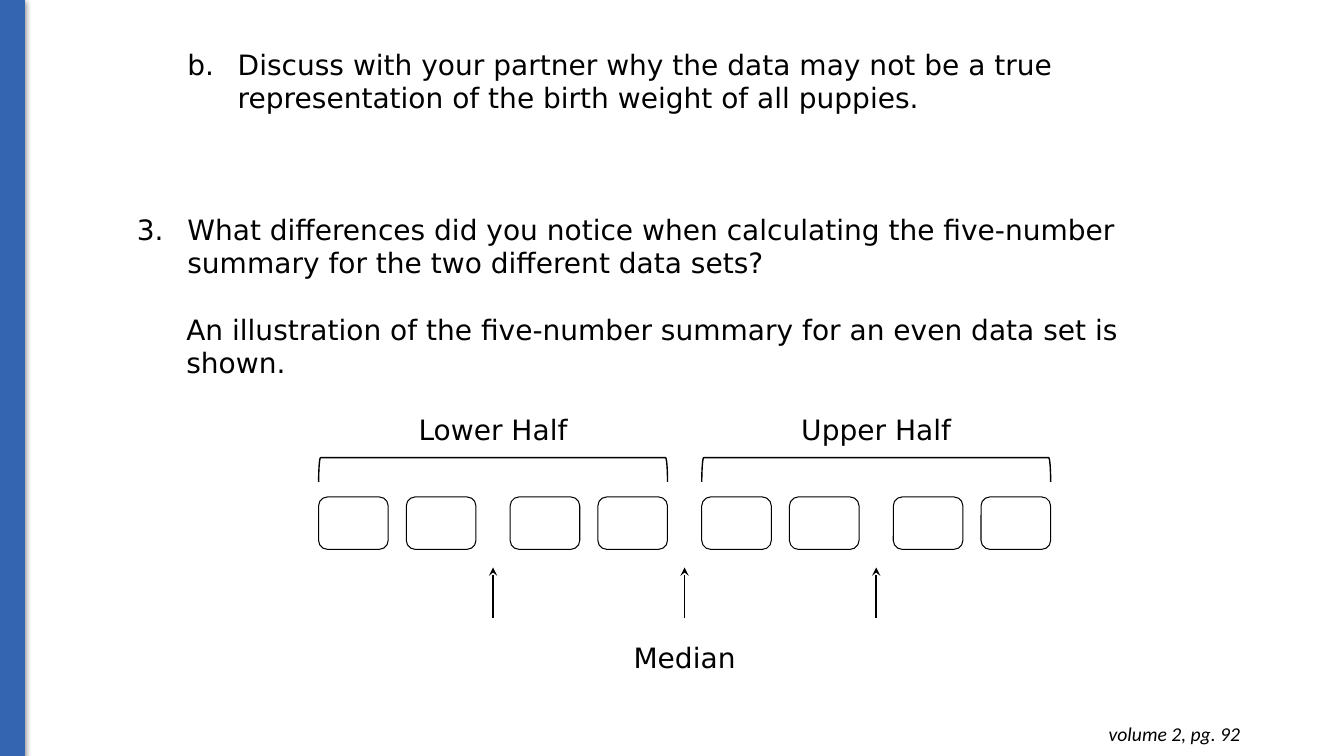
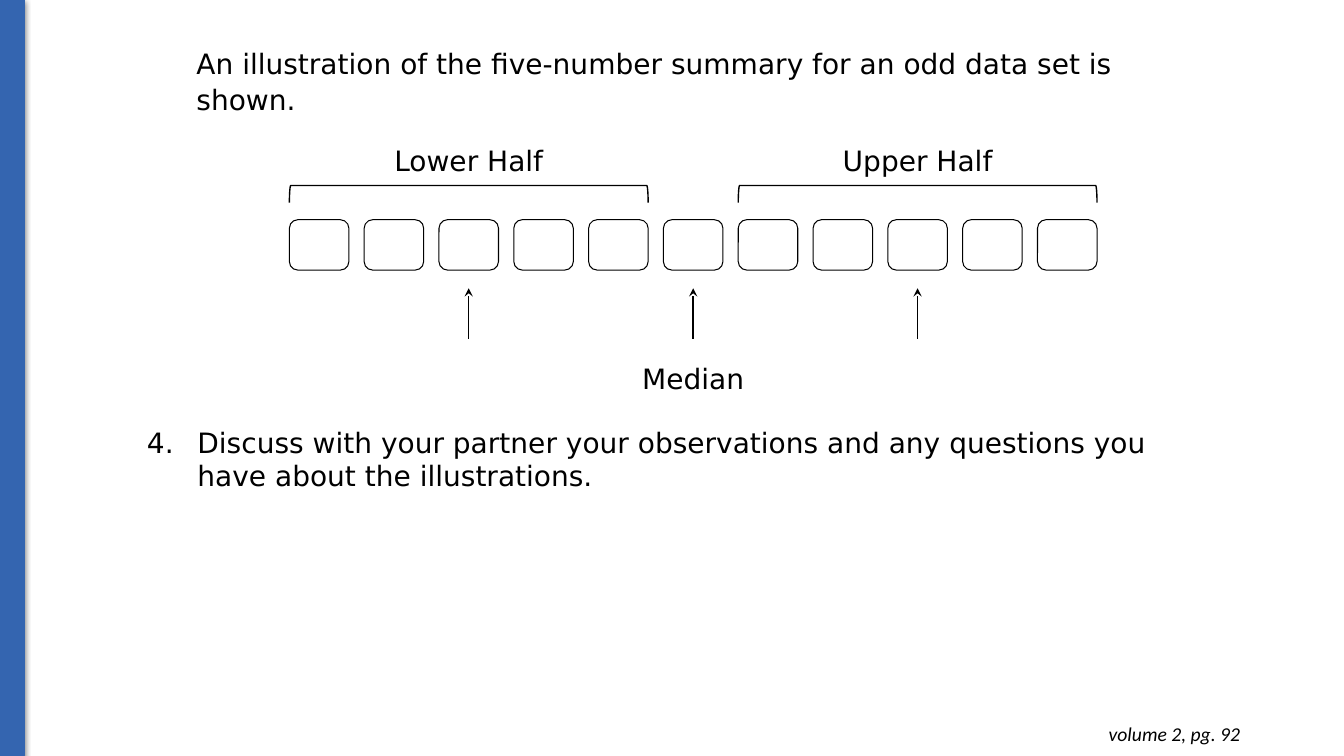
from lxml.etree import SubElement
from pptx import Presentation
from pptx.dml.color import RGBColor
from pptx.enum.shapes import MSO_CONNECTOR, MSO_SHAPE
from pptx.enum.text import PP_ALIGN
from pptx.oxml.ns import qn
from pptx.util import Inches, Pt

HUES = {"ink": "000000", "bar": "3465B0"}


def hue(name):
    return RGBColor.from_string(HUES[name])


def node(root, tag, **attrs):
    return SubElement(root, qn(tag), attrs)


class Deck:
    face = "DejaVu Sans"
    size = 20

    def __init__(self):
        self.show = Presentation()
        self.show.slide_width = Inches(13.33)
        self.show.slide_height = Inches(7.5)

    def page(self):
        self.slide = self.show.slides.add_slide(self.show.slide_layouts[6])
        self.band()
        frame = self.box(9.52, 7.06, 2.88, 0.44, pad=0.1)
        para = self.para(frame, "volume 2, pg. 92", align=PP_ALIGN.RIGHT,
                         face="Calibri", size=14)
        para.font.italic = True

    def band(self):
        bar = self.shape(MSO_SHAPE.RECTANGLE, 0, 0, 0.24, 7.5, "bar")
        bar.fill.solid()
        bar.fill.fore_color.rgb = hue("bar")
        glow = node(bar.element.spPr.find(qn("a:effectLst")), "a:outerShdw",
                    blurRad=str(Pt(4.5)), dist=str(Pt(1.5)),
                    dir="5400000", algn="ctr", rotWithShape="0")
        tint = node(glow, "a:srgbClr", val=HUES["ink"])
        node(tint, "a:alpha", val="50000")

    def shape(self, kind, left, top, width, height, tone="ink", line=0.75):
        item = self.slide.shapes.add_shape(
            kind, Inches(left), Inches(top), Inches(width), Inches(height))
        item.shadow.inherit = False
        item.fill.background()
        item.line.color.rgb = hue(tone)
        item.line.width = Pt(line)
        return item

    def box(self, left, top, width, height, pad=0.05):
        frame = self.slide.shapes.add_textbox(
            Inches(left), Inches(top), Inches(width), Inches(height)).text_frame
        frame.word_wrap = True
        frame.margin_top = frame.margin_bottom = Inches(pad)
        return frame

    def para(self, frame, text, indent=0, list_as=None, before=0,
             lead=None, align=None, face=face, size=size):
        first = not frame.paragraphs[0].runs
        para = frame.paragraphs[0] if first else frame.add_paragraph()
        para.add_run().text = text
        props = para._p.get_or_add_pPr()
        if indent:
            props.set("marL", str(Inches(indent)))
            props.set("indent", str(Inches(-0.5 if list_as else 0)))
        if list_as:
            kind, start = list_as
            tint = node(props, "a:buClr")
            node(tint, "a:srgbClr", val=HUES["ink"])
            node(props, "a:buFont", typeface=face)
            node(props, "a:buAutoNum", type=kind, startAt=str(start))
        if before:
            para.space_before = Pt(before)
        if lead:
            para.line_spacing = lead
        if align:
            para.alignment = align
        para.font.name = face
        para.font.size = Pt(size)
        para.font.color.rgb = hue("ink")
        return para

    def label(self, text, mid, top, width):
        frame = self.box(mid - width / 2, top, width, 0.4)
        self.para(frame, text, lead=1.07, align=PP_ALIGN.CENTER)

    def cell(self, left, top, width, height):
        item = self.shape(MSO_SHAPE.ROUNDED_RECTANGLE, left, top, width, height)
        item.adjustments[0] = 0.17

    def brace(self, mid, top, width, height):
        item = self.shape(MSO_SHAPE.LEFT_BRACKET, mid - height / 2,
                          top + (height - width) / 2, height, width, line=1)
        item.rotation = 90
        item.adjustments[0] = 0.08

    def arrow(self, mid, tip, length=0.5):
        line = self.slide.shapes.add_connector(
            MSO_CONNECTOR.STRAIGHT, Inches(mid), Inches(tip + length),
            Inches(mid), Inches(tip))
        line.line.color.rgb = hue("ink")
        line.line.width = Pt(1)
        node(line.line._get_or_add_ln(), "a:tailEnd", type="stealth")
        node(line.element.spPr, "a:effectLst")

    def chart(self, lefts, half, top, width, height, brace, depth, title):
        for left in lefts:
            self.cell(left, top, width, height)
        base = top + height
        mids = []
        for text, group in (("Lower Half", lefts[:half]),
                            ("Upper Half", lefts[-half:])):
            mid = (group[0] + group[-1] + width) / 2
            self.brace(mid, brace, group[-1] + width - group[0], depth)
            self.label(text, mid, title, 2.25)
            mids.append(mid)
        center = sum(mids) / 2
        for mid in (*mids, center):
            self.arrow(mid, base + 0.18)
        self.label("Median", center, base + 0.83, 1.24)


def main():
    deck = Deck()
    gap = Deck.size * 1.164

    deck.page()
    body = deck.box(1.26, 0.42, 10.04, 3.47)
    deck.para(body, "Discuss with your partner why the data may not be a true "
              "representation of the birth weight of all puppies.",
              indent=1, list_as=("alphaLcPeriod", 2))
    deck.para(body, "What differences did you notice when calculating the "
              "five-number summary for the two different data sets?",
              indent=0.5, list_as=("arabicPeriod", 3), before=3 * gap)
    deck.para(body, "An illustration of the five-number summary for an even "
              "data set is shown.", indent=0.49, before=gap)
    lefts = [3.16 + 1.9 * pair + 0.87 * side
             for pair in range(4) for side in range(2)]
    deck.chart(lefts, 4, top=4.93, width=0.69, height=0.52,
               brace=4.54, depth=0.24, title=4.02)

    deck.page()
    body = deck.box(1.36, 0.39, 10.5, 0.82)
    deck.para(body, "An illustration of the five-number summary for an odd "
              "data set is shown.", indent=0.49, lead=1.07)
    lefts = [2.87 + 7.42 * spot / 10 for spot in range(11)]
    deck.chart(lefts, 5, top=2.18, width=0.59, height=0.5,
               brace=1.84, depth=0.17, title=1.35)
    body = deck.box(1.36, 4.17, 10.5, 0.77)
    deck.para(body, "Discuss with your partner your observations and any "
              "questions you have about the illustrations.",
              indent=0.5, list_as=("arabicPeriod", 4))

    deck.show.save("out.pptx")


if __name__ == "__main__":
    main()
